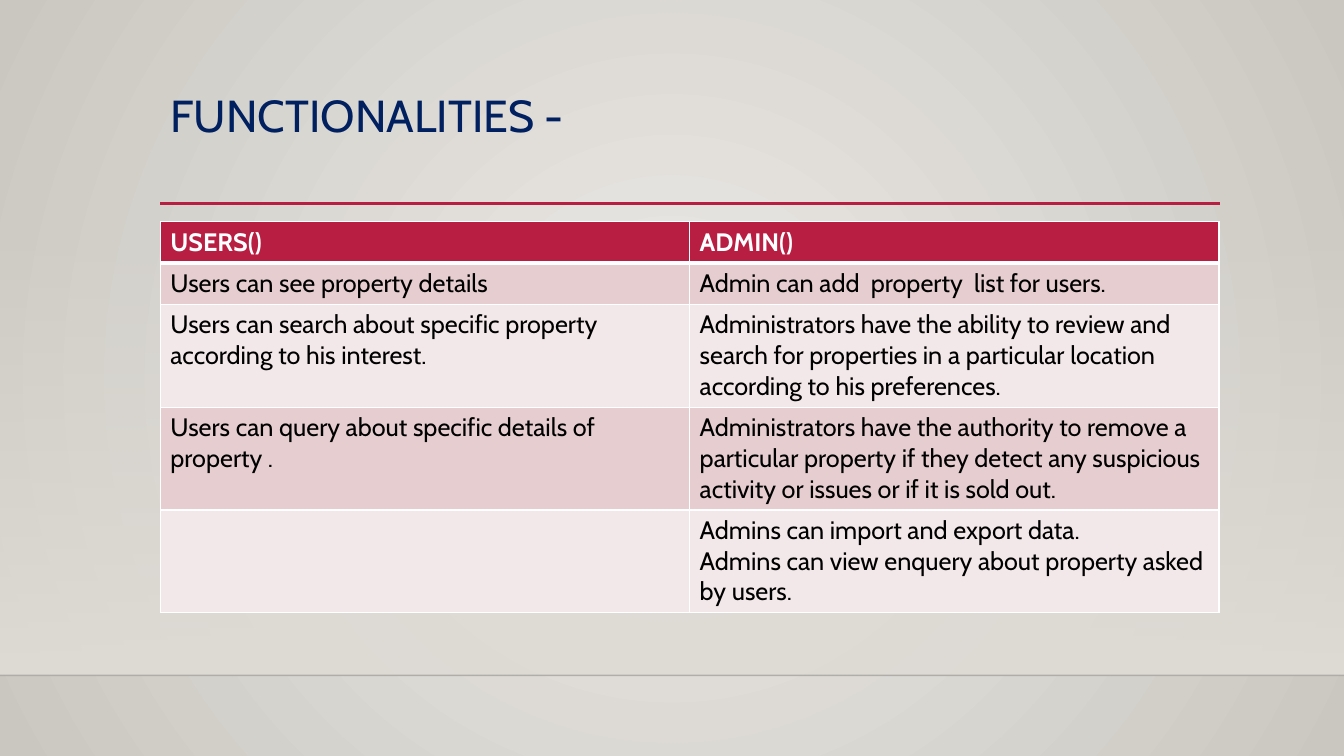
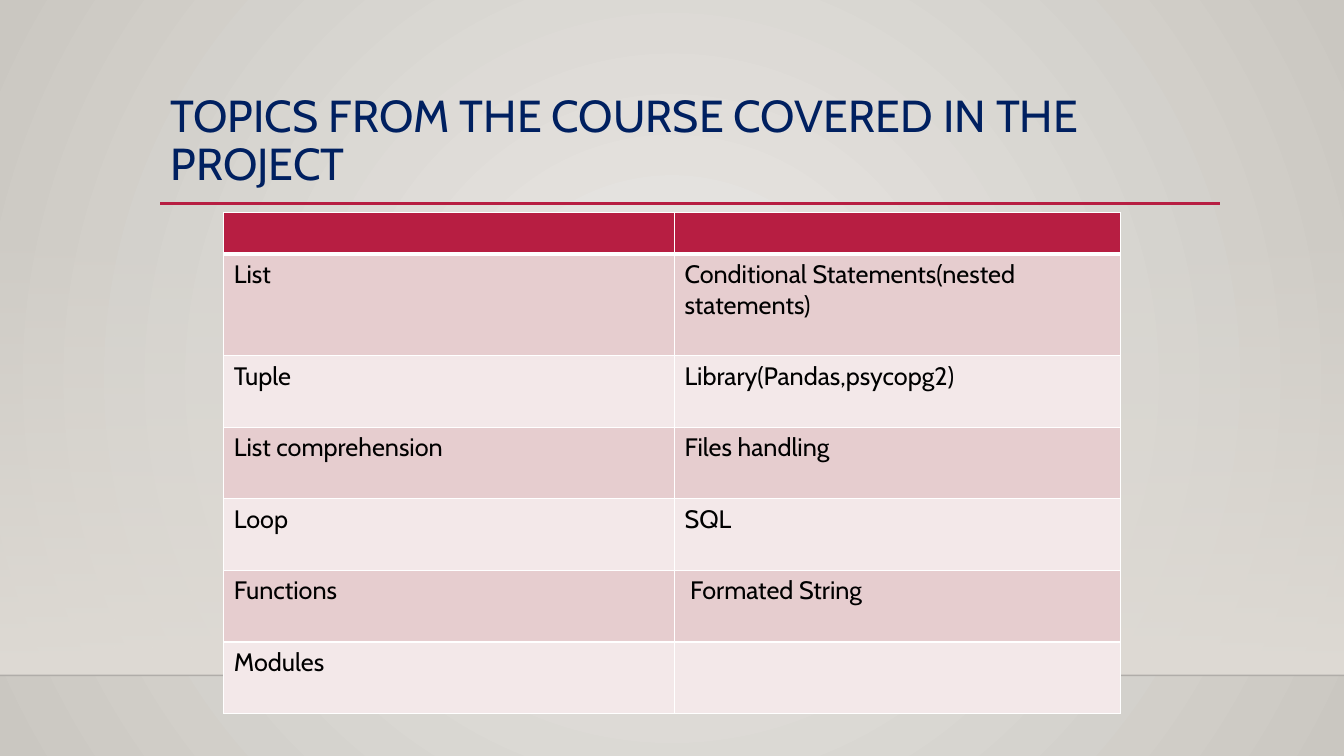
import pptx
import pptx.dml.color
import pptx.enum.shapes
import pptx.enum.text
import pptx.oxml.ns
import pptx.util
from lxml import etree

Inches = pptx.util.Inches
Pt = pptx.util.Pt
RGBColor = pptx.dml.color.RGBColor
qn = pptx.oxml.ns.qn

FONT = "Cabin"
NAVY = RGBColor(0x00, 0x20, 0x60)
CRIMSON = RGBColor(0xB7, 0x1E, 0x42)
ROSE = RGBColor(0xE6, 0xCD, 0xCF)
PALE_ROSE = RGBColor(0xF3, 0xE8, 0xE9)
WHITE = RGBColor(0xFF, 0xFF, 0xFF)
BLACK = RGBColor(0x00, 0x00, 0x00)
NEAR_BLACK = RGBColor(0x00, 0x00, 0x01)
SAND = RGBColor(0xDF, 0xDB, 0xD5)
LIGHT_STONE = RGBColor(0xEC, 0xEA, 0xE7)
DARK_STONE = RGBColor(0xCA, 0xC7, 0xC1)

SLIDE_WIDTH, SLIDE_HEIGHT = 13.33, 7.5
FLOOR_TOP = 6.7
TITLE_BOX = (1.59, 0.88, 10.5, 1.15)

FUNCTIONALITIES = [
    ("USERS()", "ADMIN()"),
    ("Users can see property details", "Admin can add  property  list for users."),
    ("Users can search about specific property according to his interest.",
     "Administrators have the ability to review and search for properties "
     "in a particular location according to his preferences."),
    ("Users can query about specific details of property .",
     "Administrators have the authority to remove a particular property if they "
     "detect any suspicious activity or issues or if it is sold out."),
    ("", "Admins can import and export data.\n"
     "Admins can view enquery about property asked by users."),
]
TOPICS = [
    ("", ""),
    ("List", "Conditional Statements(nested statements)"),
    ("Tuple", "Library(Pandas,psycopg2)"),
    ("List comprehension", "Files handling"),
    ("Loop", "SQL"),
    ("Functions", " Formated String"),
    ("Modules", ""),
]


def set_alpha(color_element, percent):
    etree.SubElement(color_element, qn("a:alpha"), val=str(percent * 1000))


def set_gradient(fill, start, end):
    fill.gradient()
    for stop, color in zip(fill.gradient_stops, (start, end)):
        stop.color.rgb = color


def format_background(master):
    """Radial stone gradient shared by all slides."""
    set_gradient(master.background.fill, LIGHT_STONE, DARK_STONE)
    gradient = master.element.find(".//" + qn("p:bgPr")).find(qn("a:gradFill"))
    gradient.remove(gradient.find(qn("a:lin")))
    radial = etree.SubElement(gradient, qn("a:path"))
    radial.set("path", "circle")
    etree.SubElement(radial, qn("a:fillToRect"), l="50000", t="50000", r="50000", b="50000")


def add_rule(slide, left, top, width, color, weight):
    rule = slide.shapes.add_connector(
        pptx.enum.shapes.MSO_CONNECTOR.STRAIGHT,
        Inches(left), Inches(top), Inches(left + width), Inches(top))
    rule.line.color.rgb = color
    rule.line.width = Pt(weight)
    etree.SubElement(rule.element.spPr, qn("a:effectLst"))
    return rule


def add_backdrop(slide):
    # Wall that fades in towards the floor
    top = 2.21
    wall = slide.shapes.add_shape(
        pptx.enum.shapes.MSO_SHAPE.RECTANGLE, 0, Inches(top),
        Inches(SLIDE_WIDTH), Inches(FLOOR_TOP - top))
    wall.shadow.inherit = False
    wall.line.fill.background()
    set_gradient(wall.fill, SAND, SAND)
    wall.fill.gradient_angle = 270
    set_alpha(wall.element.spPr.find(".//" + qn("a:srgbClr")), 0)
    # Floor edge and title rule
    floor = add_rule(slide, 0, FLOOR_TOP, SLIDE_WIDTH, NEAR_BLACK, 1)
    set_alpha(floor.element.spPr.find(".//" + qn("a:srgbClr")), 20)
    add_rule(slide, 1.59, 2.02, 10.51, CRIMSON, 2.5)


def add_run(paragraph, text, size, color, bold=False):
    run = paragraph.add_run()
    run.text = text
    run.font.name = FONT
    run.font.size = Pt(size)
    run.font.bold = bold
    run.font.color.rgb = color


def place_title(slide, text, box):
    title = slide.shapes.title
    title.left, title.top, title.width, title.height = map(Inches, box)
    frame = title.text_frame
    frame.word_wrap = True
    frame.auto_size = pptx.enum.text.MSO_AUTO_SIZE.NONE
    frame.vertical_anchor = pptx.enum.text.MSO_ANCHOR.TOP
    paragraph = frame.paragraphs[0]
    paragraph.alignment = pptx.enum.text.PP_ALIGN.LEFT
    paragraph.line_spacing = 0.9
    add_run(paragraph, text, 32, NAVY)
    # Bring the title in front of the backdrop
    title.element.getparent().append(title.element)


def set_borders(cell, row_index):
    """White borders, heavier under the header row."""
    weights = {"a:lnL": 1, "a:lnR": 1,
               "a:lnT": 3 if row_index == 1 else 1,
               "a:lnB": 3 if row_index == 0 else 1}
    properties = cell._tc.get_or_add_tcPr()
    for position, (side, weight) in enumerate(weights.items()):
        line = etree.Element(qn(side), w=str(Pt(weight)))
        fill = etree.SubElement(line, qn("a:solidFill"))
        etree.SubElement(fill, qn("a:srgbClr"), val=str(WHITE))
        properties.insert(position, line)


def fill_cell(cell, text, row_index):
    header = row_index == 0
    cell.fill.solid()
    cell.fill.fore_color.rgb = CRIMSON if header else ROSE if row_index % 2 else PALE_ROSE
    set_borders(cell, row_index)
    frame = cell.text_frame
    for index, line in enumerate(text.split("\n") if text else []):
        paragraph = frame.add_paragraph() if index else frame.paragraphs[0]
        add_run(paragraph, line, 18, WHITE if header else BLACK, header)


def add_striped_table(slide, rows, left, top, column_widths, row_heights):
    table = slide.shapes.add_table(
        len(rows), len(column_widths), Inches(left), Inches(top),
        Inches(sum(column_widths)), Inches(sum(row_heights))).table
    for column, width in zip(table.columns, column_widths):
        column.width = Inches(width)
    for row_index, (texts, height) in enumerate(zip(rows, row_heights)):
        table.rows[row_index].height = Inches(height)
        for column_index, text in enumerate(texts):
            fill_cell(table.cell(row_index, column_index), text, row_index)


def add_table_slide(presentation, title, rows, left, top, column_widths, row_heights):
    slide = presentation.slides.add_slide(presentation.slide_layouts[5])
    add_backdrop(slide)
    place_title(slide, title, TITLE_BOX)
    add_striped_table(slide, rows, left, top, column_widths, row_heights)


def main():
    presentation = pptx.Presentation()
    presentation.slide_width = Inches(SLIDE_WIDTH)
    presentation.slide_height = Inches(SLIDE_HEIGHT)
    format_background(presentation.slide_master)
    add_table_slide(presentation, "FUNCTIONALITIES -", FUNCTIONALITIES,
                    1.59, 2.2, (5.25, 5.25), [0.41] * 2 + [1.02] * 3)
    add_table_slide(presentation, "TOPICS FROM THE COURSE COVERED IN THE PROJECT", TOPICS,
                    2.22, 2.11, (4.47, 4.42), [0.41, 1.01] + [0.71] * 5)
    presentation.save("out.pptx")


if __name__ == "__main__":
    main()
